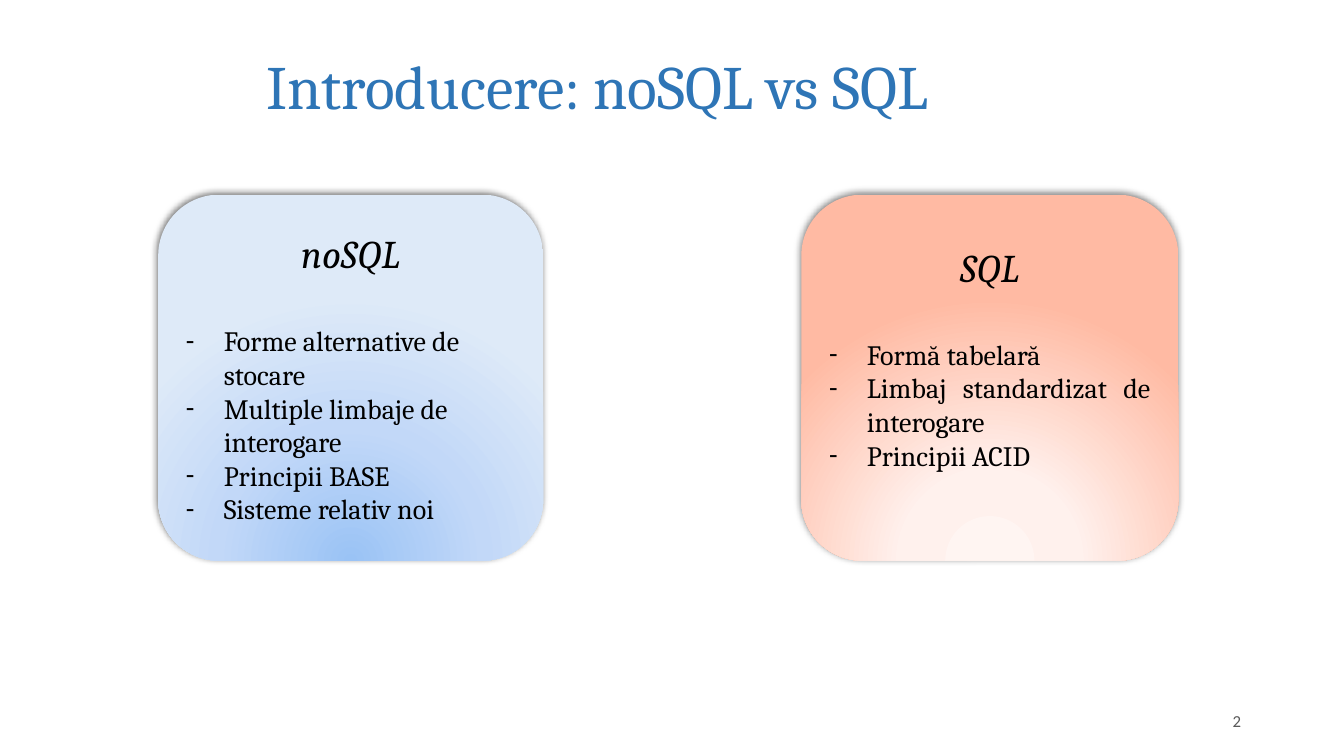
from dataclasses import dataclass

from pptx import Presentation
from pptx.dml.color import RGBColor
from pptx.enum.shapes import MSO_SHAPE
from pptx.enum.text import MSO_ANCHOR, PP_ALIGN
from pptx.oxml import parse_xml
from pptx.oxml.ns import nsdecls, qn
from pptx.util import Pt

ROUNDED = MSO_SHAPE.ROUNDED_RECTANGLE
MIDDLE = MSO_ANCHOR.MIDDLE
LEFT, CENTER, RIGHT, JUSTIFY = (
    PP_ALIGN.LEFT, PP_ALIGN.CENTER, PP_ALIGN.RIGHT, PP_ALIGN.JUSTIFY)

COLORS = {
    "title": "2E75B6",
    "text": "000000",
    "number": "595959",
    "shadow": "000000",
    "blue_core": "9AC3F5",
    "blue_mid": "C2D8F8",
    "blue_edge": "DEEAF8",
    "red_core": "FFF5F2",
    "red_mid": "FFF1ED",
    "red_edge": "FFBAA3",
}
CARD_TOP, CARD_HEIGHT = 139, 261.5
BULLET_INDENT = 27


@dataclass
class Card:
    heading: str
    points: list[str]
    left: float
    width: float
    stops: list[tuple[int, str]]
    align: PP_ALIGN
    bottom_inset: float


CARDS = [
    Card("SQL",
         ["Formă tabelară", "Limbaj standardizat de interogare", "Principii ACID"],
         572.4, 269.3, [(0, "red_core"), (34, "red_mid"), (100, "red_edge")],
         JUSTIFY, 32.4),
    Card("noSQL",
         ["Forme alternative de stocare", "Multiple limbaje de interogare",
          "Principii BASE", "Sisteme relativ noi"],
         113, 275, [(0, "blue_core"), (50, "blue_mid"), (100, "blue_edge")],
         LEFT, 3.6),
]


def write(para, text: str, *, size: float, color: str, font: str = "Cambria",
          align: PP_ALIGN = LEFT, italic: bool = False) -> None:
    para.alignment = align
    span = para.add_run()
    span.text = text
    span.font.name = font
    span.font.size = Pt(size)
    span.font.italic = italic
    span.font.color.rgb = RGBColor.from_string(COLORS[color])


def add_dash(para) -> None:
    """Give the paragraph a hanging dash bullet."""
    props = para._p.get_or_add_pPr()
    props.set("marL", str(Pt(BULLET_INDENT)))
    props.set("indent", str(-Pt(BULLET_INDENT)))
    props.append(parse_xml(f'<a:buFont {nsdecls("a")} typeface="Calibri"/>'))
    props.append(parse_xml(f'<a:buChar {nsdecls("a")} char="-"/>'))


def fill_radial(box, stops: list[tuple[int, str]]) -> None:
    """Fill with a circular gradient centred at the lower edge."""
    box.fill.gradient()
    marks = "".join(
        f'<a:gs pos="{place * 1000}"><a:srgbClr val="{COLORS[color]}"/></a:gs>'
        for place, color in stops)
    gradient = parse_xml(
        f'<a:gradFill {nsdecls("a")} rotWithShape="1"><a:gsLst>{marks}</a:gsLst>'
        '<a:path path="circle"><a:fillToRect l="50000" t="155000" r="50000" '
        'b="-55000"/></a:path></a:gradFill>')
    props = box._element.spPr
    props.replace(props.find(qn("a:gradFill")), gradient)


def add_shadow(box) -> None:
    box.shadow.inherit = False
    box._element.spPr.find(qn("a:effectLst")).append(parse_xml(
        f'<a:outerShdw {nsdecls("a")} blurRad="{Pt(5)}" dist="{Pt(2)}" '
        f'dir="{245 * 60000}" algn="ctr" rotWithShape="0">'
        f'<a:srgbClr val="{COLORS["shadow"]}"><a:alpha val="50000"/></a:srgbClr>'
        '</a:outerShdw>'))


def draw_card(page, card: Card) -> None:
    box = page.shapes.add_shape(
        ROUNDED, Pt(card.left), Pt(CARD_TOP), Pt(card.width), Pt(CARD_HEIGHT))
    fill_radial(box, card.stops)
    box.line.fill.background()
    add_shadow(box)

    frame = box.text_frame
    frame.word_wrap = True
    frame.vertical_anchor = MIDDLE
    frame.margin_bottom = Pt(card.bottom_inset)
    heading = frame.paragraphs[0]
    write(heading, card.heading, size=28, color="text", align=CENTER, italic=True)
    heading.space_after = Pt(33.6)
    for point in card.points:
        para = frame.add_paragraph()
        write(para, point, size=20, color="text", align=card.align)
        add_dash(para)


def draw_title(page) -> None:
    title = page.shapes.title
    title.left, title.top, title.width, title.height = (
        Pt(183), Pt(28.8), Pt(711.4), Pt(69.8))
    title.text_frame.vertical_anchor = MIDDLE
    para = title.text_frame.paragraphs[0]
    write(para, "Introducere: noSQL vs SQL", size=44, color="title")
    para.line_spacing = 0.9


def draw_page_number(page) -> None:
    box = page.shapes.add_textbox(Pt(635.8), Pt(500.4), Pt(257.8), Pt(28.8))
    box.text_frame.word_wrap = True
    box.text_frame.vertical_anchor = MIDDLE
    write(box.text_frame.paragraphs[0], "2", size=12, color="number",
          font="Calibri", align=RIGHT)


def main() -> None:
    deck = Presentation()
    deck.slide_width, deck.slide_height = Pt(960), Pt(540)
    page = deck.slides.add_slide(deck.slide_layouts[5])
    draw_page_number(page)
    for card in CARDS:
        draw_card(page, card)
    draw_title(page)
    deck.save("out.pptx")


if __name__ == "__main__":
    main()
